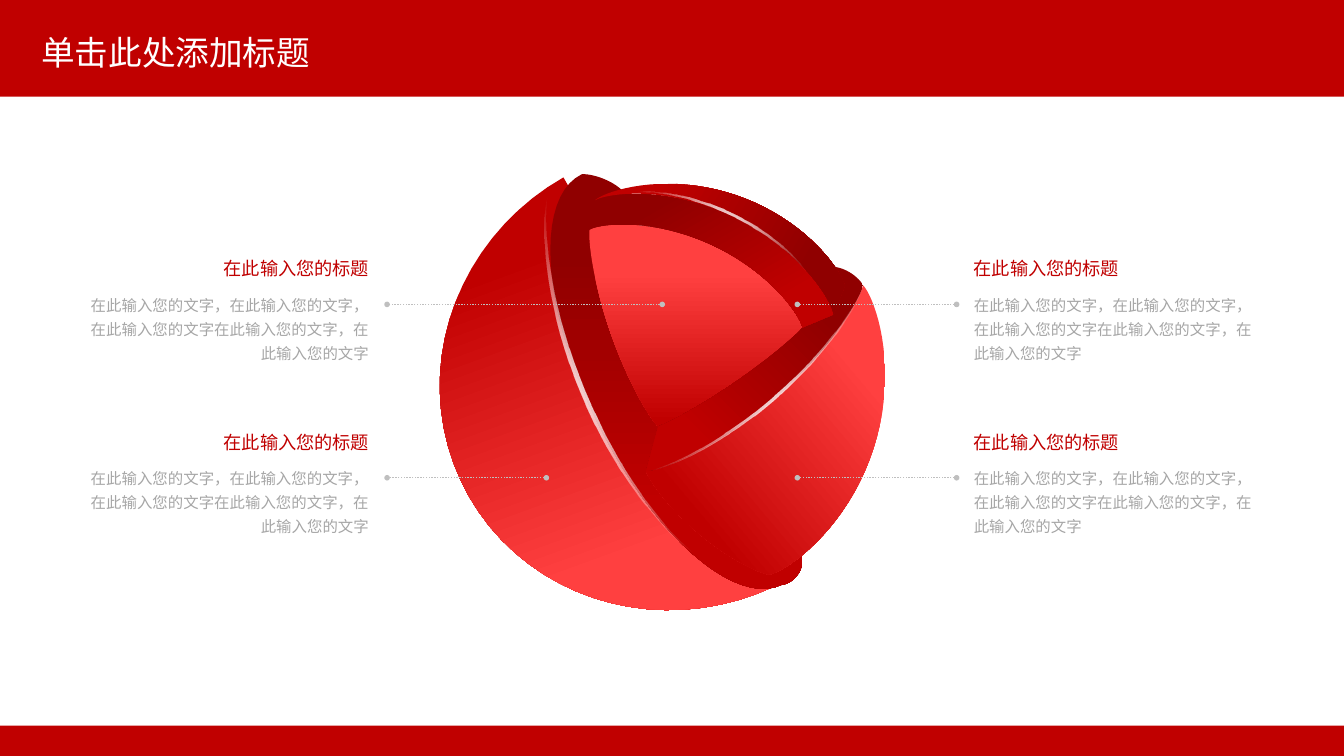
from math import atan2, cos, degrees, pi

from lxml.etree import SubElement
from pptx import Presentation
from pptx.dml.color import RGBColor
from pptx.enum.dml import MSO_LINE
from pptx.enum.shapes import MSO_CONNECTOR, MSO_SHAPE
from pptx.enum.text import MSO_ANCHOR, MSO_AUTO_SIZE, PP_ALIGN
from pptx.oxml.ns import qn
from pptx.util import Inches, Pt

DEEP = RGBColor(0x90, 0x00, 0x00)
RED = RGBColor(0xC0, 0x00, 0x00)
BRIGHT = RGBColor(0xFF, 0x40, 0x40)
WHITE = RGBColor(0xFF, 0xFF, 0xFF)
BODY_GREY = RGBColor(0xA6, 0xA6, 0xA6)
LINE_GREY = RGBColor(0xBF, 0xBF, 0xBF)

TITLE = "单击此处添加标题"
HEADING = "在此输入您的标题"
BODY = "在此输入您的文字，在此输入您的文字，在此输入您的文字在此输入您的文字，在此输入您的文字"

COLS, ROWS = 133.33, 75
ELLIPSE, SOFT = 0.5, 0.8  # how full an arch is; 1 would be a parabola


def arch(start, end, rise, fullness=SOFT, steps=40):
    """Arch over the chord from start to end, rising to the left of travel.

    A point is a complex number: column + row * 1j.
    """
    middle, half = (start + end) / 2, (end - start) / 2
    normal = -1j * half / abs(half)
    ts = [-cos(pi * i / steps) for i in range(steps + 1)]
    return [middle + t * half + normal * rise * max(0, 1 - t * t) ** fullness
            for t in ts]


class Deck:
    """Draws on one slide; all lengths are grid columns and rows."""
    font, title_font = "Noto Sans CJK SC", "Montserrat"

    def __init__(self):
        self.prs = Presentation()
        self.prs.slide_width, self.prs.slide_height = Inches(13.33), Inches(7.5)
        self.s = self.prs.slides.add_slide(self.prs.slide_layouts[5])

    def x(self, col):
        return round(self.prs.slide_width * col / COLS)

    def y(self, row):
        return round(self.prs.slide_height * row / ROWS)

    def box(self, col, row, width, height):
        return self.x(col), self.y(row), self.x(width), self.y(height)

    def style(self, p, size, color, latin=None):
        for r in p.runs:
            r.font.size, r.font.color.rgb = Pt(size), color
            r.font.name = latin or self.font
            SubElement(r.font._element, qn("a:ea")).set("typeface", self.font)

    def bar(self, row, height):
        sp = self.s.shapes.add_shape(MSO_SHAPE.RECTANGLE, *self.box(0, row, COLS, height))
        sp.shadow.inherit = False
        sp.fill.solid()
        sp.fill.fore_color.rgb = RED
        sp.line.fill.background()

    def title(self, text, *place):
        sp = self.s.shapes.title
        sp.left, sp.top, sp.width, sp.height = self.box(*place)
        tf = sp.text_frame
        tf.text, tf.vertical_anchor = text, MSO_ANCHOR.MIDDLE
        p = tf.paragraphs[0]
        p.alignment, p.line_spacing = PP_ALIGN.LEFT, 0.9
        self.style(p, 24, WHITE, self.title_font)
        self.s.shapes._spTree.append(sp._element)  # above the header bar

    def outline(self, points, stops):
        """Closed outline with a gradient of two (position, colour) stops."""
        (x, y), *rest = [(self.x(pt.real), self.y(pt.imag)) for pt in points]
        builder = self.s.shapes.build_freeform(x, y)
        builder.add_line_segments(rest, close=True)
        sp = builder.convert_to_shape()
        sp.shadow.inherit = False
        sp.line.fill.background()
        sp.fill.gradient()
        for stop, (position, color) in zip(sp.fill.gradient_stops, stops):
            stop.position, stop.color.rgb = position, color
        return sp

    def facet(self, points, start, end, angle):
        """Face of the sphere, shaded along a clockwise angle."""
        sp = self.outline(points, [(0.2, start), (0.8, end)])
        sp.fill.gradient_angle = 360 - angle

    def glint(self, start, end, rise, thickness):
        """White crescent under an arch, fading out from its middle."""
        unit = (end - start) / abs(end - start)
        pivot = (start + end) / 2 - 1j * unit * rise / 2
        crescent = arch(start, end, rise) + arch(start, end, rise - thickness)[::-1]
        level = [pivot + (pt - pivot) * unit.conjugate() for pt in crescent]
        sp = self.outline(level, [(0, WHITE), (1, WHITE)])
        sp.rotation = degrees(atan2(unit.imag, unit.real))
        grad = sp._element.spPr.find(qn("a:gradFill"))
        SubElement(grad.findall(".//" + qn("a:srgbClr"))[1], qn("a:alpha")).set("val", "0")
        grad.remove(grad.find(qn("a:lin")))
        circle = SubElement(grad, qn("a:path"), path="circle")
        SubElement(circle, qn("a:fillToRect"), **dict.fromkeys("ltrb", "50000"))

    def note(self, col, row, align):
        tf = self.s.shapes.add_textbox(*self.box(col, row, 31.6, 12.5)).text_frame
        tf.word_wrap, tf.auto_size = True, MSO_AUTO_SIZE.SHAPE_TO_FIT_TEXT
        tf.margin_left = tf.margin_right = self.x(1.3)
        tf.margin_top = tf.margin_bottom = self.y(0.7)
        tf.text = f"{HEADING}\n{BODY}"
        for p, size, color in zip(tf.paragraphs, (13, 11), (RED, BODY_GREY)):
            p.alignment, p.line_spacing, p.space_after = align, 1.3, Pt(8)
            self.style(p, size, color)

    def leader(self, start, end, row):
        cn = self.s.shapes.add_connector(MSO_CONNECTOR.STRAIGHT, self.x(start),
                                         self.y(row), self.x(end), self.y(row))
        cn.line.color.rgb, cn.line.width = LINE_GREY, Pt(1)
        cn.line.dash_style = MSO_LINE.ROUND_DOT
        for tag in ("a:headEnd", "a:tailEnd"):
            SubElement(cn.line._get_or_add_ln(), qn(tag), type="oval", w="sm", len="sm")
        SubElement(cn._element.spPr, qn("a:effectLst"))


def draw_sphere(deck):
    """Cut-open sphere: corners first, then the edges they share, then faces."""
    shell_top, shell_foot = 55.9 + 17.6j, 78.5 + 57.3j
    rim_top, rim_foot = 57.7 + 17.3j, 77.6 + 58j
    rim_back_top, rim_back_foot = 61.7 + 18.9j, 79.5 + 54.9j
    lip_tip, lip_foot, lip_back = 85.6 + 28.3j, 64.1 + 46.7j, 82.7 + 26.5j
    hollow_top, hollow_foot, hollow_right = 58.5 + 22.8j, 65.3 + 42.3j, 79.6 + 32.5j
    cap_left, cap_right, cap_foot = 59 + 19.9j, 83.8 + 28.4j, 82.7 + 31.2j
    band_left, wedge_foot = 57.2 + 20.8j, 76.3 + 57j
    lip_rise = 2.8

    lip = arch(lip_tip, lip_foot, lip_rise)
    crest = arch(cap_left, cap_foot, 4.5)
    hollow_roof = arch(hollow_right, hollow_top, -3.7)
    hollow_floor = arch(hollow_foot, hollow_right, -0.7)

    shell = arch(shell_foot, shell_top, 23.8, ELLIPSE)
    rim = (arch(rim_foot, rim_top, 9.4, ELLIPSE) + arch(rim_top, rim_back_top, 0.4)
           + arch(rim_back_foot, rim_foot, 0.8))
    hollow = (arch(hollow_foot, hollow_top, 1.4) + hollow_roof[::-1]
              + [cap_foot, lip_foot])
    wedge = (arch(lip_tip, wedge_foot, 6) + arch(wedge_foot, lip_foot, 1.4)
             + lip[::-1])
    lip_face = arch(lip_back, lip_tip, 0.4) + lip + hollow_floor
    band = crest + hollow_roof + [band_left]
    cap = arch(cap_left, cap_right, 5.05) + crest[::-1]

    for face, start, end, angle in (
            (shell, RED, BRIGHT, 70), (rim, DEEP, RED, 90),
            (hollow, BRIGHT, RED, 90), (wedge, BRIGHT, RED, 140),
            (lip_face, DEEP, RED, 135), (band, DEEP, RED, 60),
            (cap, RED, DEEP, 30)):
        deck.facet(face, start, end, angle)

    deck.glint(69.2 + 55j, 54.4 + 19.3j, 4.6, 0.5)
    deck.glint(lip_tip, lip_foot, lip_rise + 0.1, 0.3)
    deck.glint(62.9 + 19.2j, 80 + 27.1j, 2.3, 0.3)


def main():
    deck = Deck()
    deck.bar(0, 9.6)
    deck.bar(72, 3)
    draw_sphere(deck)

    for row, left_target in ((30.2, 65.7), (47.4, 54.2)):
        deck.note(6.3, row - 6, PP_ALIGN.RIGHT)
        deck.note(95.3, row - 6, PP_ALIGN.LEFT)
        deck.leader(left_target, 38.4, row)
        deck.leader(94.9, 79.1, row)

    deck.title(TITLE, 3.1, 2.1, 115, 6.6)
    deck.prs.save("out.pptx")


if __name__ == "__main__":
    main()
